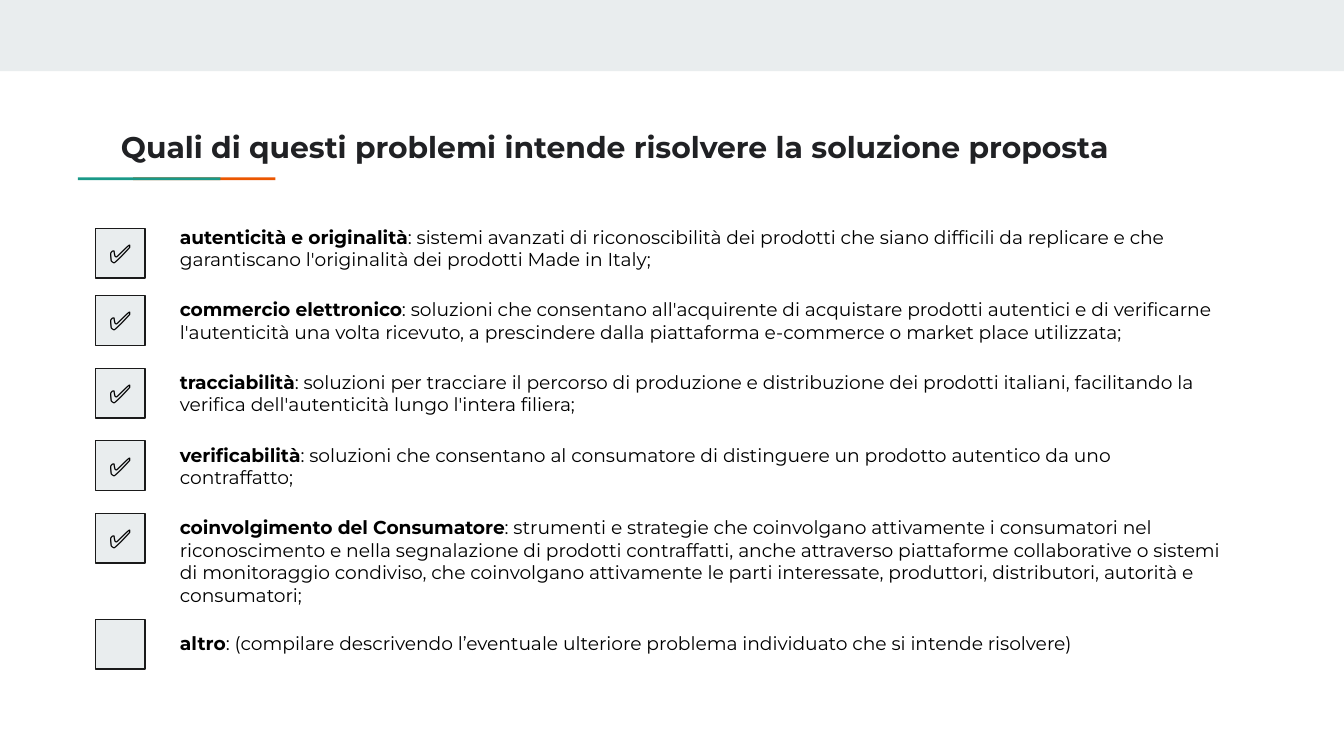
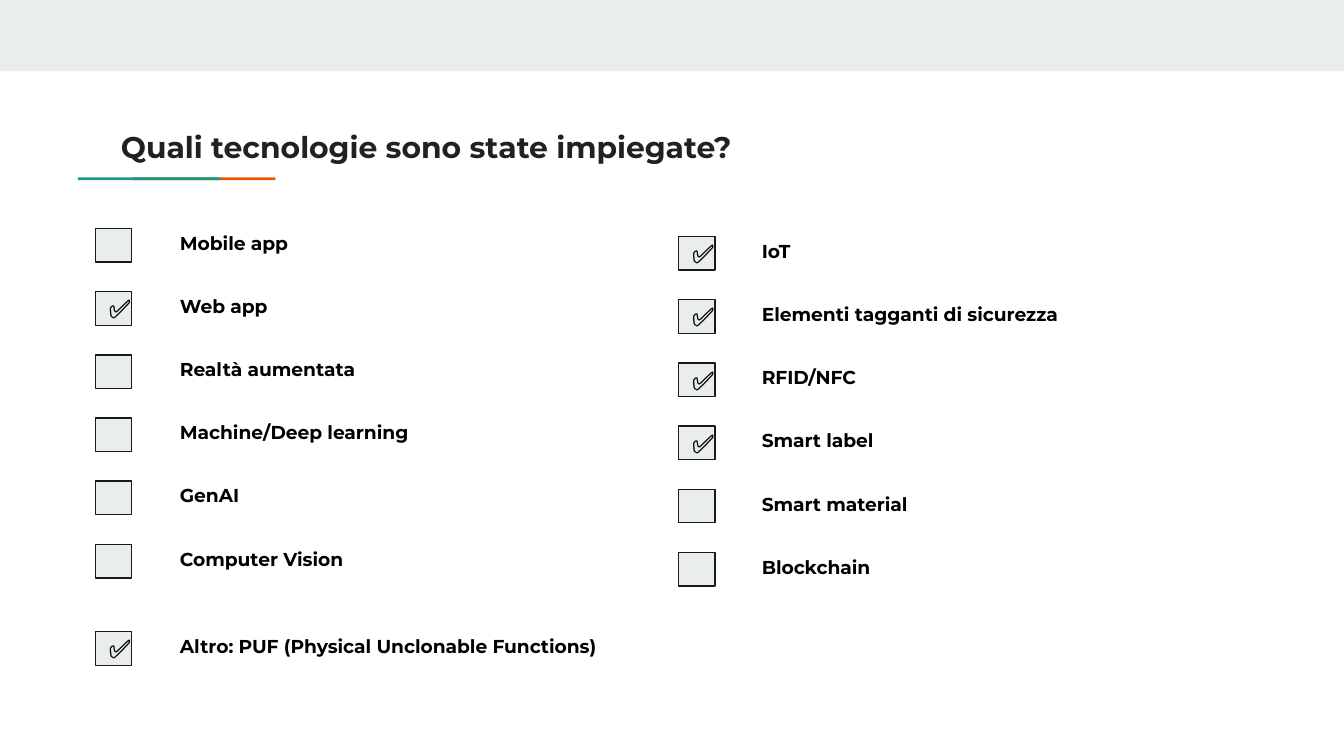
import pptx
import pptx.util
import pptx.dml.color
import pptx.enum.shapes
import pptx.enum.text

Inches = pptx.util.Inches
RGBColor = pptx.dml.color.RGBColor
ALIGN = pptx.enum.text.PP_ALIGN
ANCHOR = pptx.enum.text.MSO_ANCHOR
SIZING = pptx.enum.text.MSO_AUTO_SIZE

# Shared style
MIST = RGBColor(0xE9, 0xED, 0xEE)
ORANGE = RGBColor(0xEB, 0x56, 0x00)
TEAL = RGBColor(0x1A, 0x99, 0x88)
INK = RGBColor(0x20, 0x21, 0x24)
EDGE = RGBColor(0x1A, 0x1A, 0x1A)
BLACK = RGBColor(0x00, 0x00, 0x00)
FONT = "Montserrat"
MARK_FONT = "Lato"
MARGIN = 0.1
BOX_X, TEXT_X = 0.71, 1.24  # first column
LINE = 0.17  # height of one text line
ROW = 0.47  # step between technologies

# Slide 1: term, description, lines of text, top of box, checked
ISSUES = [
    ("autenticità e originalità",
     ": sistemi avanzati di riconoscibilità dei prodotti che siano difficili "
     "da replicare e che garantiscano l'originalità dei prodotti Made in Italy;",
     2, 1.7, True),
    ("commercio elettronico",
     ": soluzioni che consentano all'acquirente di acquistare prodotti "
     "autentici e di verificarne l'autenticità una volta ricevuto, a "
     "prescindere dalla piattaforma e-commerce o market place utilizzata;",
     2, 2.2, True),
    ("tracciabilità",
     ": soluzioni per tracciare il percorso di produzione e distribuzione dei "
     "prodotti italiani, facilitando la verifica dell'autenticità lungo "
     "l'intera filiera;",
     2, 2.74, True),
    ("verificabilità",
     ": soluzioni che consentano al consumatore di distinguere un prodotto "
     "autentico da uno contraffatto;",
     2, 3.28, True),
    ("coinvolgimento del Consumatore",
     ": strumenti e strategie che coinvolgano attivamente i consumatori nel "
     "riconoscimento e nella segnalazione di prodotti contraffatti, anche "
     "attraverso piattaforme collaborative o sistemi di monitoraggio "
     "condiviso, che coinvolgano attivamente le parti interessate, "
     "produttori, distributori, autorità e consumatori;",
     4, 3.82, True),
    ("altro",
     ": (compilare descrivendo l’eventuale ulteriore problema individuato "
     "che si intende risolvere)",
     1, 4.61, False),
]

# Slide 2: label, checked, label width where it is not the usual one
LEFT_TECH = [
    ("Mobile app", False),
    ("Web app", True),
    ("Realtà aumentata", False),
    ("Machine/Deep learning", False),
    ("GenAI", False),
    ("Computer Vision", False),
]
RIGHT_TECH = [
    ("IoT", True),
    ("Elementi tagganti di sicurezza", True, 3.32),
    ("RFID/NFC", True),
    ("Smart label", True),
    ("Smart material", False),
    ("Blockchain", False),
]


def add_run(para, text, size, color, font=FONT, bold=False):
    run = para.add_run()
    run.text = text
    run.font.name = font
    run.font.size = pptx.util.Pt(size)
    run.font.bold = bold
    run.font.color.rgb = color


def set_frame(frame, anchor, sizing):
    frame.word_wrap = True
    frame.auto_size = sizing
    frame.vertical_anchor = anchor
    frame.margin_left = frame.margin_right = Inches(MARGIN)
    frame.margin_top = frame.margin_bottom = Inches(MARGIN)


def add_rect(slide, left, top, width, height, fill):
    rect = slide.shapes.add_shape(
        pptx.enum.shapes.MSO_SHAPE.RECTANGLE,
        Inches(left), Inches(top), Inches(width), Inches(height))
    rect.shadow.inherit = False
    rect.fill.solid()
    rect.fill.fore_color.rgb = fill
    rect.line.fill.background()
    return rect


def add_check(slide, left, top, width, height, done):
    box = add_rect(slide, left, top, width, height, MIST)
    box.line.color.rgb = EDGE
    box.line.width = pptx.util.Pt(0.75)
    if done:
        set_frame(box.text_frame, ANCHOR.MIDDLE, SIZING.NONE)
        para = box.text_frame.paragraphs[0]
        para.alignment = ALIGN.CENTER
        add_run(para, "✅", 14, BLACK, MARK_FONT)


def add_label(slide, left, top, width, term, detail="", lines=1):
    height = 2 * MARGIN + LINE * lines
    label = slide.shapes.add_textbox(
        Inches(left), Inches(top), Inches(width), Inches(height))
    set_frame(label.text_frame, ANCHOR.TOP, SIZING.SHAPE_TO_FIT_TEXT)
    para = label.text_frame.paragraphs[0]
    add_run(para, term, 10, BLACK, bold=True)
    if detail:
        add_run(para, detail, 10, BLACK)
    return height


def add_tech(slide, box_x, text_x, top, text, done, width=2.11):
    add_label(slide, text_x, top, width, text)
    add_check(slide, box_x, top + 0.06, 0.27, 0.25, done)


def add_page(deck, text):
    slide = deck.slides.add_slide(deck.slide_layouts[5])
    # Top band and the two-colour rule, teal over orange
    add_rect(slide, 0, 0, 10, 0.53, MIST)
    add_rect(slide, 0.99, 1.32, 1.06, 0.02, ORANGE)
    add_rect(slide, 0.58, 1.32, 1.06, 0.02, TEAL)
    # Title
    title = slide.shapes.title
    title.left, title.top = Inches(0.8), Inches(0.86)
    title.width, title.height = Inches(8.41), Inches(0.45)
    set_frame(title.text_frame, ANCHOR.TOP, SIZING.NONE)
    para = title.text_frame.paragraphs[0]
    para.alignment = ALIGN.LEFT
    add_run(para, text, 16, INK, bold=True)
    return slide


def add_issues(deck):
    slide = add_page(
        deck, "Quali di questi problemi intende risolvere la soluzione proposta")
    top = 1.58
    for term, detail, lines, box_top, done in ISSUES:
        top += add_label(slide, TEXT_X, top, 7.97, term, detail, lines)
        add_check(slide, BOX_X, box_top, 0.37, 0.37, done)


def add_techs(deck):
    slide = add_page(deck, "Quali tecnologie sono state impiegate?")
    columns = ((BOX_X, TEXT_X, 1.64, LEFT_TECH), (5.05, 5.57, 1.7, RIGHT_TECH))
    for box_x, text_x, top, techs in columns:
        for row, tech in enumerate(techs):
            add_tech(slide, box_x, text_x, top + row * ROW, *tech)
    add_tech(slide, BOX_X, TEXT_X, 4.64,
             "Altro: PUF (Physical Unclonable Functions)", True, 8.2)


def main():
    deck = pptx.Presentation()
    # Widescreen page, 16:9
    deck.slide_width = Inches(10)
    deck.slide_height = deck.slide_width * 9 // 16
    add_issues(deck)
    add_techs(deck)
    deck.save("out.pptx")


if __name__ == "__main__":
    main()
